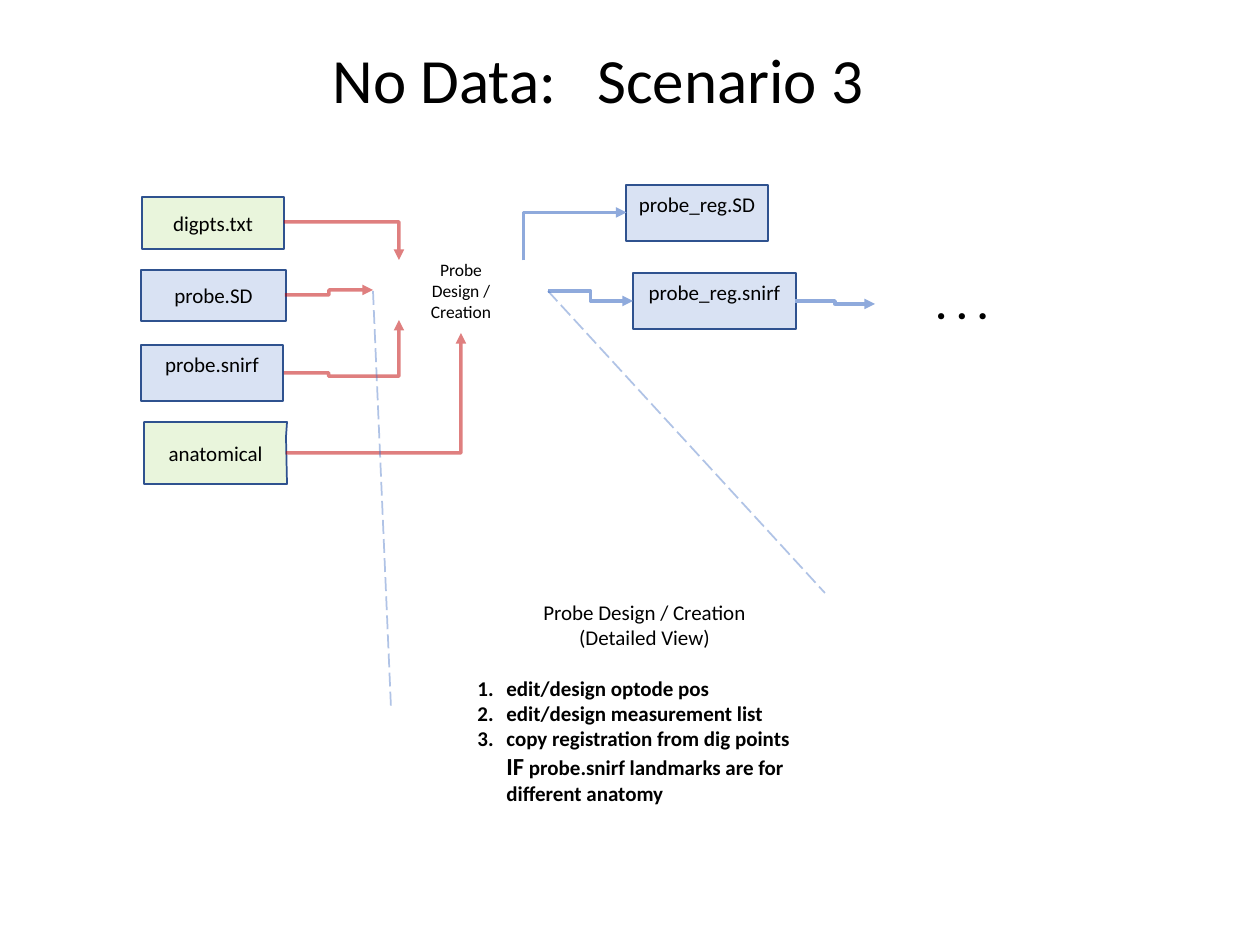
from lxml import etree
from pptx import Presentation
from pptx.dml.color import RGBColor
from pptx.enum.dml import MSO_LINE
from pptx.enum.shapes import MSO_CONNECTOR, MSO_SHAPE
from pptx.enum.text import MSO_ANCHOR, PP_ALIGN
from pptx.oxml.ns import qn
from pptx.util import Pt

RECT = MSO_SHAPE.RECTANGLE
ELBOW, LINE = MSO_CONNECTOR.ELBOW, MSO_CONNECTOR.STRAIGHT
DASH = MSO_LINE.LONG_DASH
TOP, MID = MSO_ANCHOR.TOP, MSO_ANCHOR.MIDDLE
LEFT, MIDDLE = PP_ALIGN.LEFT, PP_ALIGN.CENTER
SCALE = 914400 / 126
FONT, INK, EDGE = "Calibri", "000000", "2F528F"
BLUE, GREEN, RED, SKY = "4472C4", "92D050", "C00000", "8FAADC"

FILES = [
    ("digpts.txt", (142, 197, 142, 52), GREEN, MID),
    ("probe.SD", (141, 270, 145, 51), BLUE, MID),
    ("probe.snirf", (141, 345, 142, 56), BLUE, TOP),
    ("probe_reg.SD", (626, 185, 142, 56), BLUE, TOP),
    ("probe_reg.snirf", (633, 273, 163, 56), BLUE, TOP),
]
SCAN = ("anatomical", [(144, 422), (287, 422), (286, 437), (287, 484), (144, 484)])
TITLE = ("No Data:\tScenario 3", (320, 34, 636, 88))
TITLE_TAB = 265
NOTES = [
    ("Probe Design / Creation", (411, 248, 100, 86), 10, False),
    (". . .", (902, 263, 120, 80), 24, True),
]
DETAIL = (465, 593, 359, 229)
HEADS = ["Probe Design / Creation", "(Detailed View)"]
STEPS = [
    [("edit/design optode pos", 12)],
    [("edit/design measurement list", 12)],
    [("copy registration from dig points ", 12), ("IF", 14),
     (" probe.snirf landmarks are for different anatomy", 12)],
]
INDENT = 29
# start, end, colour, opacity, bends, adjustments, turn
ARROWS = [
    ((284, 222), (399, 260), RED, 50, 2, (), 0),
    ((285, 295), (373, 290), RED, 50, 3, (50000,), 0),
    ((284, 373), (399, 320), RED, 50, 4, (38900, -6200), 0),
    ((286, 453), (461, 333), RED, 50, 2, (), 0),
    ((599, 288), (551, 185), SKY, 100, 2, (), 90),
    ((548, 291), (633, 301), SKY, 100, 3, (50000,), 0),
    ((795, 301), (875, 304), SKY, 100, 3, (50000,), 0),
]
ZOOMS = [((548, 291), (825, 593)), ((373, 291), (391, 708))]


def px(*nums):
    return [round(n * SCALE) for n in nums]


def rgb(code):
    return RGBColor.from_string(code)


def add(node, tag, **attrs):
    kid = etree.SubElement(node, qn(tag))
    for key, val in attrs.items():
        kid.set(key, str(val))
    return kid


def fade(node, pct):
    if pct < 100:
        add(next(node.iter(qn("a:srgbClr"))), "a:alpha", val=pct * 1000)


def style(font, size, bold=False):
    font.name, font.size, font.bold = FONT, Pt(size), bold
    font.color.rgb = rgb(INK)


def write(shape, lines, size, bold=False, align=MIDDLE, anchor=MID):
    frame = shape.text_frame
    frame.text = "\n".join(lines)
    frame.word_wrap, frame.vertical_anchor = True, anchor
    for para in frame.paragraphs:
        para.alignment = align
        for run in para.runs:
            style(run.font, size, bold)
    return frame


def paint(shape, tint):
    shape.shadow.inherit = False
    shape.fill.solid()
    shape.fill.fore_color.rgb = rgb(tint)
    fade(shape.fill._xPr.find(qn("a:solidFill")), 20)
    shape.line.color.rgb, shape.line.width = rgb(EDGE), Pt(1)


def link(shapes, kind, start, end, tint, width, clear):
    wire = shapes.add_connector(kind, *px(*start, *end))
    wire.line.color.rgb, wire.line.width = rgb(tint), Pt(width)
    fade(wire.line._ln, clear)
    add(wire._element.spPr, "a:effectLst")
    return wire


def bend(wire, count, pulls, turn):
    props = wire._element.spPr
    if turn:
        props.find(qn("a:xfrm")).set("rot", str(turn * 60000))
    geom = props.find(qn("a:prstGeom"))
    geom.set("prst", f"bentConnector{count}")
    av = geom.find(qn("a:avLst"))
    if av is None:
        av = add(geom, "a:avLst")
    for num, pull in enumerate(pulls, 1):
        add(av, "a:gd", name=f"adj{num}", fmla=f"val {pull}")
    add(wire.line._ln, "a:tailEnd", type="triangle")


def list_steps(frame):
    for num, step in enumerate(STEPS):
        para = frame.add_paragraph()
        para.alignment = LEFT
        if num == 0:
            para.space_before = Pt(14.6)
        props = para._p.get_or_add_pPr()
        gap = px(INDENT)[0]
        props.set("marL", str(gap))
        props.set("indent", str(-gap))
        add(add(props, "a:buClr"), "a:srgbClr", val=INK)
        add(props, "a:buFont", typeface=FONT)
        add(props, "a:buAutoNum", type="arabicPeriod")
        for text, size in step:
            run = para.add_run()
            run.text = text
            style(run.font, size, True)


def main():
    """Build the probe design flow slide."""
    deck = Presentation()
    deck.slide_width, deck.slide_height = px(1260, 945)
    shapes = deck.slides.add_slide(deck.slide_layouts[6]).shapes

    for name, spot, tint, anchor in FILES:
        box = shapes.add_shape(RECT, *px(*spot))
        paint(box, tint)
        write(box, [name], 12, anchor=anchor)

    name, dots = SCAN
    pen = shapes.build_freeform(*dots[0], scale=SCALE)
    pen.add_line_segments(dots[1:], close=True)
    box = pen.convert_to_shape()
    paint(box, GREEN)
    write(box, [name], 12)

    for start, end, tint, clear, count, pulls, turn in ARROWS:
        bend(link(shapes, ELBOW, start, end, tint, 2, clear), count, pulls, turn)
    for start, end in ZOOMS:
        link(shapes, LINE, start, end, BLUE, 1, 42).line.dash_style = DASH

    for text, spot, size, bold in NOTES:
        write(shapes.add_textbox(*px(*spot)), [text], size, bold)
    text, spot = TITLE
    frame = write(shapes.add_textbox(*px(*spot)), [text], 36, align=LEFT, anchor=TOP)
    tabs = add(frame.paragraphs[0]._p.get_or_add_pPr(), "a:tabLst")
    add(tabs, "a:tab", pos=px(TITLE_TAB)[0], algn="l")
    list_steps(write(shapes.add_textbox(*px(*DETAIL)), HEADS, 12, anchor=TOP))

    deck.save("out.pptx")


if __name__ == "__main__":
    main()
